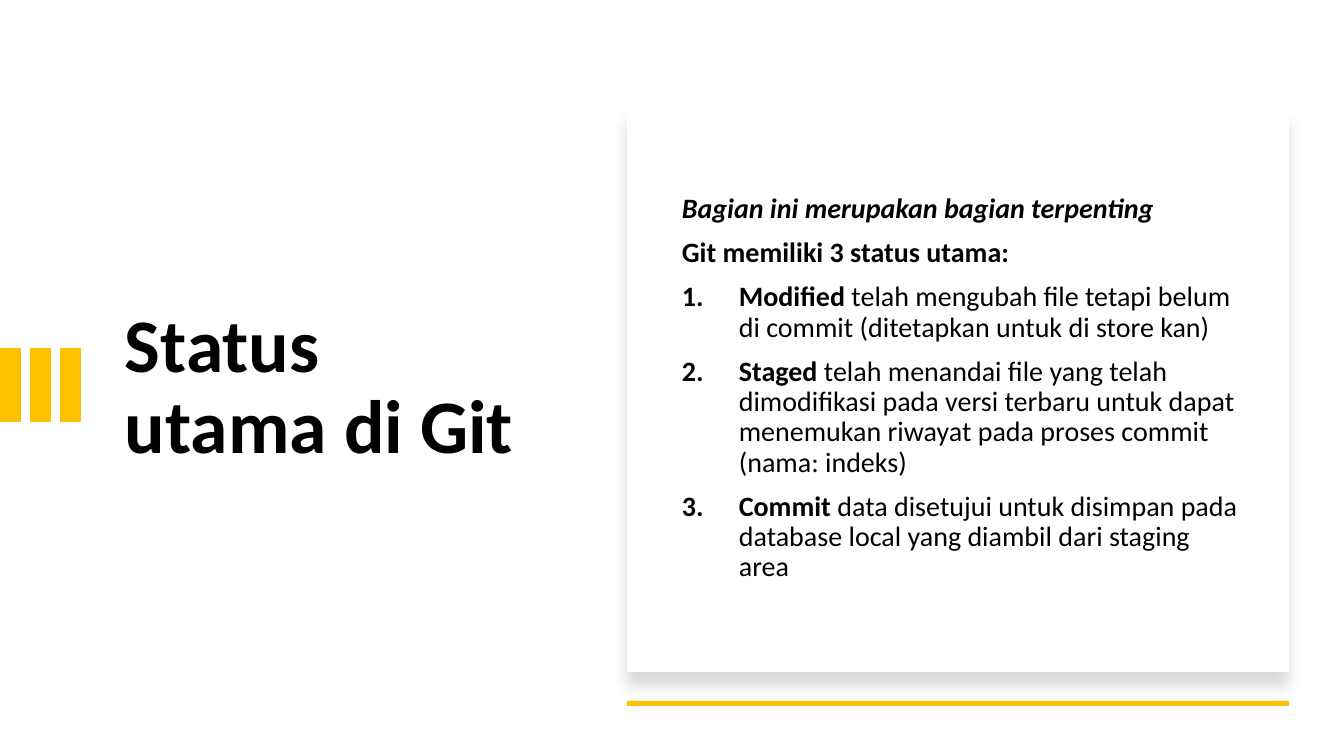
import pptx
import pptx.util
import pptx.dml.color
import pptx.enum.shapes
import pptx.enum.text
import pptx.oxml
import pptx.oxml.ns

# Content
TITLE = "Status utama di Git"
INTRO = [("Bagian ini merupakan bagian terpenting", True),
         ("Git memiliki 3 status utama:", False)]
STATES = [
    ("Modified ", "telah mengubah file tetapi belum di commit (ditetapkan untuk di store kan)"),
    ("Staged ", "telah menandai file yang telah dimodifikasi pada versi terbaru "
                "untuk dapat menemukan riwayat pada proses commit (nama: indeks)"),
    ("Commit ", "data disetujui untuk disimpan pada database local yang diambil dari staging area"),
]
FONT, BLACK, WHITE, GOLD = "Calibri", "000000", "FFFFFF", "FFC000"

# Layout in px
SLIDE_W, SLIDE_H = 1344, 756
CARD_X, CARD_Y, CARD_W, CARD_H = 627, 108, 662, 564
TEXT_Y, TEXT_H = 151, 475
BAR_Y, BAR_W, BAR_H, BAR_STEP, BAR_COUNT = 348, 21, 74, 30, 3
RULE_Y, RULE_H = 701, 5
INDENT = 57


def px(n):
    return pptx.util.Emu(round(n * 914400 / 100.8))


def rgb(color):
    return pptx.dml.color.RGBColor.from_string(color)


def add_rect(x, y, w, h, color):
    sp = s.shapes.add_shape(pptx.enum.shapes.MSO_SHAPE.RECTANGLE, px(x), px(y), px(w), px(h))
    sp.shadow.inherit = False
    sp.fill.solid()
    sp.fill.fore_color.rgb = rgb(color)
    sp.line.fill.background()
    return sp


def add_text(x, y, w, h):
    tf = s.shapes.add_textbox(px(x), px(y), px(w), px(h)).text_frame
    tf.word_wrap = True
    tf.vertical_anchor = pptx.enum.text.MSO_ANCHOR.MIDDLE
    return tf


def add_run(p, text, size, bold=True, italic=False):
    p.line_spacing = 0.9
    r = p.add_run()
    r.text = text
    r.font.name, r.font.size = FONT, pptx.util.Pt(size)
    r.font.bold, r.font.italic = bold, italic
    r.font.color.rgb = rgb(BLACK)


def number(p):
    pPr = p._p.get_or_add_pPr()
    pPr.set("marL", str(px(INDENT)))
    pPr.set("indent", str(-px(INDENT)))
    for tag, name, value in (("buFont", "typeface", "+mj-lt"),
                             ("buAutoNum", "type", "arabicPeriod")):
        pPr.append(pptx.oxml.parse_xml(
            f'<a:{tag} {pptx.oxml.ns.nsdecls("a")} {name}="{value}"/>'))


def soft_shadow(sp, blur, dist, opacity):
    effects = sp._element.spPr.find(pptx.oxml.ns.qn("a:effectLst"))
    effects.append(pptx.oxml.parse_xml(
        f'<a:outerShdw {pptx.oxml.ns.nsdecls("a")} blurRad="{pptx.util.Pt(blur)}" '
        f'dist="{pptx.util.Pt(dist)}" dir="5400000" algn="t" rotWithShape="0">'
        f'<a:srgbClr val="{BLACK}"><a:alpha val="{opacity * 1000}"/></a:srgbClr>'
        '</a:outerShdw>'))


prs = pptx.Presentation()
prs.slide_width, prs.slide_height = px(SLIDE_W), px(SLIDE_H)
s = prs.slides.add_slide(prs.slide_layouts[6])

# Title and accent bars
tf = add_text(115, TEXT_Y, 420, TEXT_H)
add_run(tf.paragraphs[0], TITLE, 54)
for i in range(BAR_COUNT):
    add_rect(i * BAR_STEP, BAR_Y, BAR_W, BAR_H, GOLD)

# Card with the rule below it
card = add_rect(CARD_X, CARD_Y, CARD_W, CARD_H, WHITE)
soft_shadow(card, blur=11, dist=10, opacity=15)
add_rect(CARD_X, RULE_Y, CARD_W, RULE_H, GOLD)

# Introduction and numbered states
tf = add_text(672, TEXT_Y, 576, TEXT_H)
paragraphs = [tf.paragraphs[0]] + [tf.add_paragraph() for _ in (INTRO + STATES)[1:]]
for p in paragraphs:
    p.space_before = pptx.util.Pt(10)
for p, (text, italic) in zip(paragraphs, INTRO):
    add_run(p, text, 20, italic=italic)
for p, (state, meaning) in zip(paragraphs[len(INTRO):], STATES):
    add_run(p, state, 20)
    add_run(p, meaning, 20, bold=False)
    number(p)

prs.save("out.pptx")
